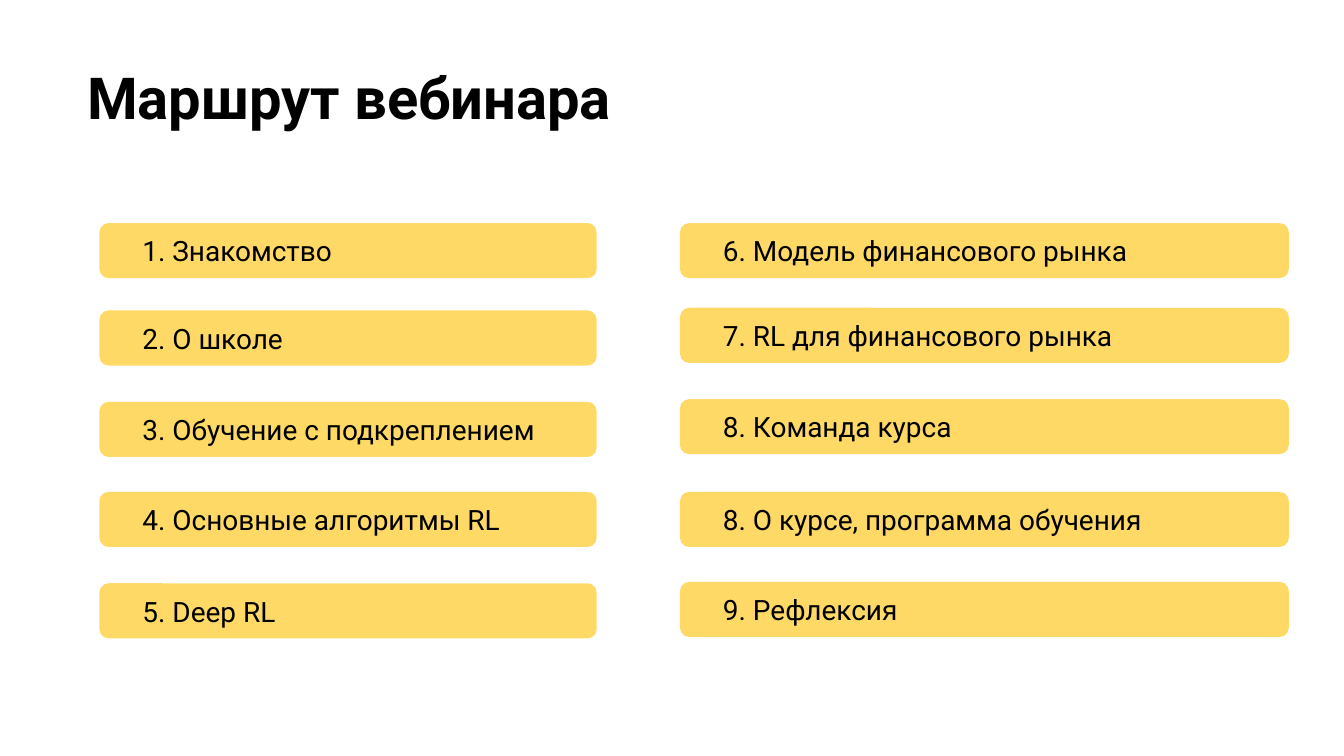
"""Build the webinar route slide."""
from dataclasses import dataclass

import pptx
import pptx.dml.color
import pptx.enum.shapes
import pptx.enum.text
import pptx.util
from pptx.util import Inches


@dataclass(frozen=True)
class Theme:
    """Hold the colours, font and type sizes."""
    font: str = "Roboto"
    ink: str = "000000"
    paper: str = "FFFFFF"
    accent: str = "FFD966"
    title_size: int = 31
    step_size: int = 15


THEME = Theme()
STEP_HEIGHT = 0.41
COLUMNS = (
    (0.74, 3.7, (
        (1.66, "1. Знакомство"),
        (2.31, "2. О школе"),
        (2.99, "3. Обучение с подкреплением"),
        (3.66, "4. Основные алгоритмы RL"),
        (4.34, "5. Deep RL"),
    )),
    (5.06, 4.53, (
        (1.66, "6. Модель финансового рынка"),
        (2.29, "7. RL для финансового рынка"),
        (2.97, "8. Команда курса"),
        (3.66, "8. О курсе, программа обучения"),
        (4.33, "9. Рефлексия"),
    )),
)


def color(value):
    """Return an RGB colour from its hex value."""
    return pptx.dml.color.RGBColor.from_string(value)


def write_text(shape, text, size, side_inset, anchor, bold=False):
    """Put one left-aligned line of text in a shape."""
    frame = shape.text_frame
    frame.text = text
    frame.word_wrap = True
    frame.vertical_anchor = anchor
    frame.margin_left = frame.margin_right = Inches(side_inset)
    frame.margin_top = frame.margin_bottom = Inches(0.1)
    para = frame.paragraphs[0]
    para.alignment = pptx.enum.text.PP_ALIGN.LEFT
    span = para.runs[0]
    span.font.name = THEME.font
    span.font.size = pptx.util.Pt(size)
    span.font.bold = bold
    span.font.color.rgb = color(THEME.ink)


def add_title(page, text):
    """Add the slide heading."""
    box = page.shapes.add_textbox(Inches(0.55), Inches(0.36), Inches(9.32), Inches(1.07))
    write_text(box, text, THEME.title_size, 0.1, pptx.enum.text.MSO_ANCHOR.TOP, bold=True)


def add_step(page, left, top, width, text):
    """Add one rounded bar naming a step of the route."""
    bar = page.shapes.add_shape(
        pptx.enum.shapes.MSO_SHAPE.ROUNDED_RECTANGLE,
        Inches(left), Inches(top), Inches(width), Inches(STEP_HEIGHT))
    bar.shadow.inherit = False
    bar.fill.solid()
    bar.fill.fore_color.rgb = color(THEME.accent)
    bar.line.fill.background()
    write_text(bar, text, THEME.step_size, 0.3, pptx.enum.text.MSO_ANCHOR.MIDDLE)


def main():
    """Create and save the deck."""
    deck = pptx.Presentation()
    deck.slide_width = Inches(10)
    deck.slide_height = deck.slide_width * 9 // 16
    page = deck.slides.add_slide(deck.slide_layouts[6])
    page.background.fill.solid()
    page.background.fill.fore_color.rgb = color(THEME.paper)
    add_title(page, "Маршрут вебинара")
    for left, width, steps in COLUMNS:
        for top, text in steps:
            add_step(page, left, top, width, text)
    deck.save("out.pptx")


if __name__ == "__main__":
    main()
